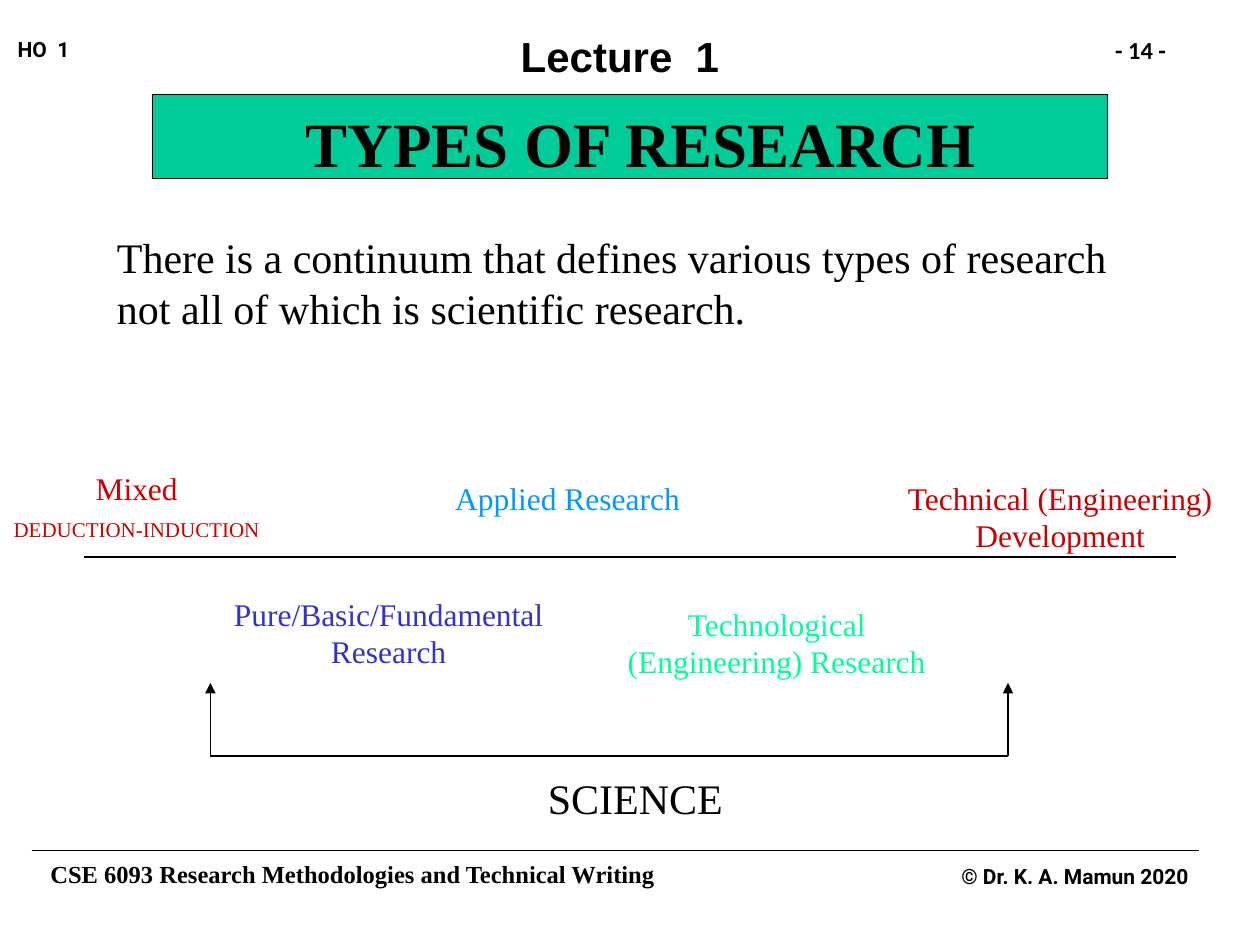
"""Builds a lecture slide on the continuum of research types."""
from dataclasses import dataclass

from lxml import etree
from pptx import Presentation
from pptx import util as u
from pptx.dml.color import RGBColor
from pptx.enum import shapes, text
from pptx.oxml.ns import qn

LEFT, CENTER = text.PP_ALIGN.LEFT, text.PP_ALIGN.CENTER


@dataclass(frozen=True)
class Theme:
    """Colours, fonts and type sizes of the slide."""
    ink: str = "000000"
    paper: str = "FFFFFF"
    banner: str = "00CC99"
    red: str = "CC0000"
    indigo: str = "3333CC"
    blue: str = "0099FF"
    green: str = "00FF99"
    serif: str = "Times New Roman"
    sans: str = "Arial"
    number: str = "Calibri"
    label: str = "Roboto"
    title: int = 36
    body: int = 24
    item: int = 18
    footer: int = 14
    small: int = 12


THEME = Theme()


@dataclass(frozen=True)
class Box:
    """A rectangle in inches."""
    left: float
    top: float
    width: float
    height: float

    def inside(self, left, top, width, height):
        """Return a box offset from this one's top left corner."""
        return Box(self.left + left, self.top + top, width, height)

    def lengths(self):
        """Return the four measures as lengths."""
        return [u.Inches(value) for value in (self.left, self.top, self.width, self.height)]


def add_text(slide, box, lines, color=THEME.ink, font=THEME.serif, bold=False,
             align=LEFT, wrap=True, inset=(0.1, 0.05)):
    """Add a text box with one paragraph for each (wording, size) pair."""
    shape = slide.shapes.add_textbox(*box.lengths())
    frame = shape.text_frame
    frame.word_wrap = wrap
    frame.margin_left = frame.margin_right = u.Inches(inset[0])
    frame.margin_top = frame.margin_bottom = u.Inches(inset[1])
    for index, (wording, size) in enumerate(lines):
        paragraph = frame.add_paragraph() if index else frame.paragraphs[0]
        paragraph.alignment = align
        if index:
            paragraph.space_before = u.Pt(size / 2)
        run = paragraph.add_run()
        run.text = wording
        run.font.name = font
        run.font.size = u.Pt(size)
        run.font.bold = bold
        run.font.color.rgb = RGBColor.from_string(color)
    return shape


def add_line(slide, start, end, width=0.75, arrow=False):
    """Add a straight line, with an arrowhead at its end if asked."""
    points = [u.Inches(value) for value in (*start, *end)]
    line = slide.shapes.add_connector(shapes.MSO_CONNECTOR.STRAIGHT, *points)
    line.line.color.rgb = RGBColor.from_string(THEME.ink)
    line.line.width = u.Pt(width)
    if arrow:
        etree.SubElement(line.line._get_or_add_ln(), qn("a:tailEnd"), type="triangle")
    etree.SubElement(line._element.spPr, qn("a:effectLst"))


def add_margin_text(slide, box, wording, size, font, **options):
    """Add a bold header or footer label with narrow insets."""
    return add_text(slide, box, [(wording, size)], font=font, bold=True,
                    inset=(0.05, 0.02), **options)


def add_header(slide, box):
    """Place the handout label, lecture name and page number."""
    add_margin_text(slide, box.inside(0.09, 0.05, 0.54, 0.24), "HO  1",
                    THEME.small, THEME.label, wrap=False)
    add_margin_text(slide, box.inside(4.08, 0, 1.68, 0.44), "Lecture  1",
                    THEME.body, THEME.sans, align=CENTER, wrap=False)
    add_margin_text(slide, box.inside(8.8, 0.04, 0.56, 0.27), "- 14 -",
                    THEME.footer, THEME.number, wrap=False)


def add_footer(slide, box):
    """Place the rule, course name and copyright line."""
    add_line(slide, (box.left, box.top), (box.left + box.width, box.top), width=1)
    add_margin_text(slide, box.inside(0.1, 0.05, 4.94, 0.28),
                    "CSE 6093 Research Methodologies and Technical Writing",
                    THEME.footer, THEME.serif, wrap=False)
    add_margin_text(slide, box.inside(7.33, 0.08, 2.33, 0.24),
                    "© Dr. K. A. Mamun 2020", THEME.small, THEME.label)


def add_title(slide, box):
    """Place the title over its outlined banner."""
    banner = slide.shapes.add_shape(shapes.MSO_SHAPE.RECTANGLE, *box.lengths())
    banner.shadow.inherit = False
    banner.fill.solid()
    banner.fill.fore_color.rgb = RGBColor.from_string(THEME.banner)
    banner.line.color.rgb = RGBColor.from_string(THEME.ink)
    banner.line.width = u.Pt(0.75)
    add_text(slide, box.inside(0.04, 0.03, 7.67, 0.7),
             [("TYPES OF RESEARCH", THEME.title)], bold=True, align=CENTER)


def add_statement(slide, box):
    """Place the opening statement."""
    add_text(slide, box, [("There is a continuum that defines various types of research "
                           "not all of which is scientific research.", THEME.body)])


def add_continuum(slide, box):
    """Place the axis with research types above and below it."""
    axis = box.top + 0.75
    add_line(slide, (box.left + 0.67, axis), (box.left + 9.33, axis))
    add_text(slide, box.inside(0, 0, 2.17, 0.75),
             [("Mixed", THEME.item), ("DEDUCTION-INDUCTION", THEME.small)],
             color=THEME.red, align=CENTER)
    labels = [
        (1.75, 1.0, 0.7, "Pure/Basic/Fundamental Research", THEME.indigo),
        (3.17, 0.08, 0.4, "Applied Research", THEME.blue),
        (4.83, 1.08, 0.7, "Technological (Engineering) Research", THEME.green),
        (7.08, 0.08, 0.7, "Technical (Engineering) Development", THEME.red),
    ]
    for left, top, height, wording, color in labels:
        add_text(slide, box.inside(left, top, 2.67, height),
                 [(wording, THEME.item)], color=color, align=CENTER)


def add_science_bracket(slide, box):
    """Place the bracket with upward arrows and its caption."""
    right, bottom = box.left + box.width, box.top + box.height
    add_line(slide, (box.left, bottom), (right, bottom))
    for side in (box.left, right):
        add_line(slide, (side, bottom), (side, box.top), arrow=True)
    add_text(slide, box.inside(2.58, box.height + 0.08, 1.92, 0.5),
             [("SCIENCE", THEME.body)])


def main():
    """Build and save the slide."""
    presentation = Presentation()
    presentation.slide_width, presentation.slide_height = u.Inches(10), u.Inches(7.5)
    slide = presentation.slides.add_slide(presentation.slide_layouts[6])
    slide.background.fill.solid()
    slide.background.fill.fore_color.rgb = RGBColor.from_string(THEME.paper)
    add_header(slide, Box(0, 0.22, 10, 0.44))
    add_footer(slide, Box(0.25, 6.75, 9.27, 0.33))
    add_title(slide, Box(1.21, 0.75, 7.58, 0.67))
    add_statement(slide, Box(0.83, 1.79, 8.33, 0.9))
    add_continuum(slide, Box(0, 3.67, 10, 1.78))
    add_science_bracket(slide, Box(1.67, 5.42, 6.33, 0.58))
    presentation.save("out.pptx")


if __name__ == "__main__":
    main()
